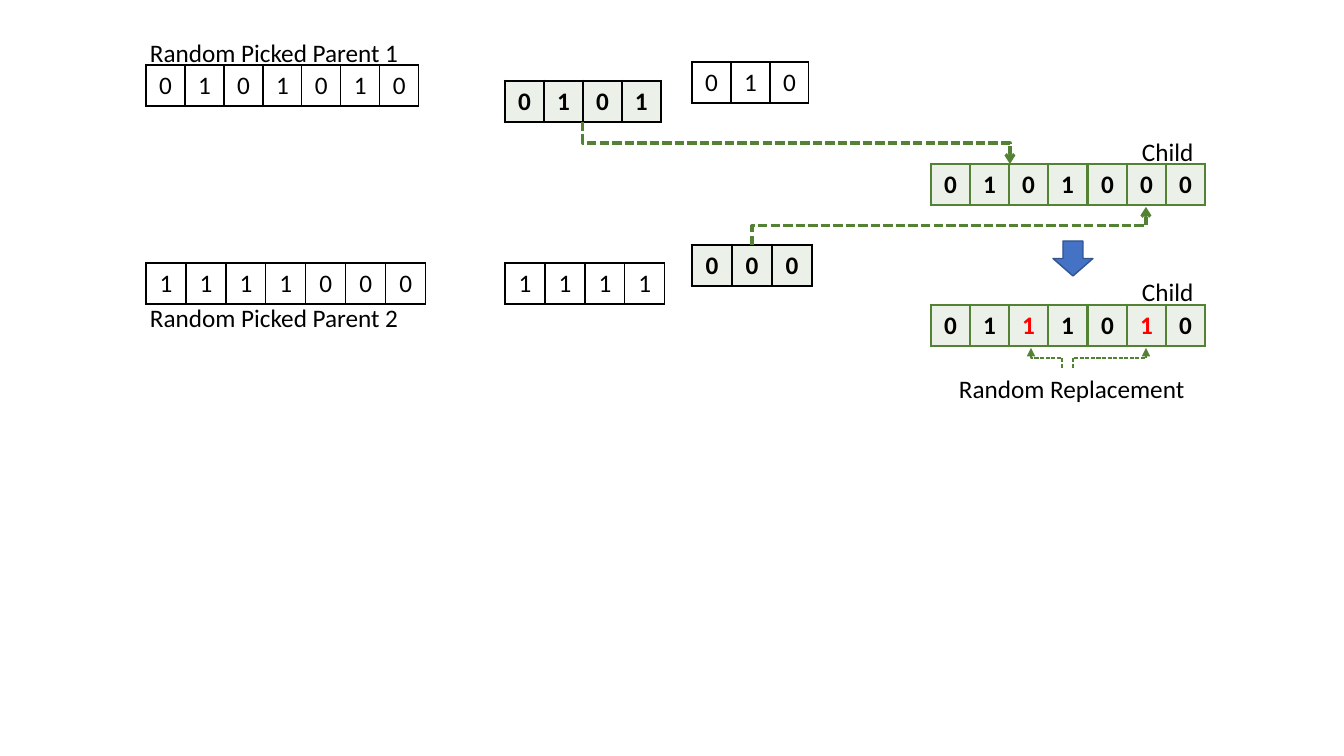
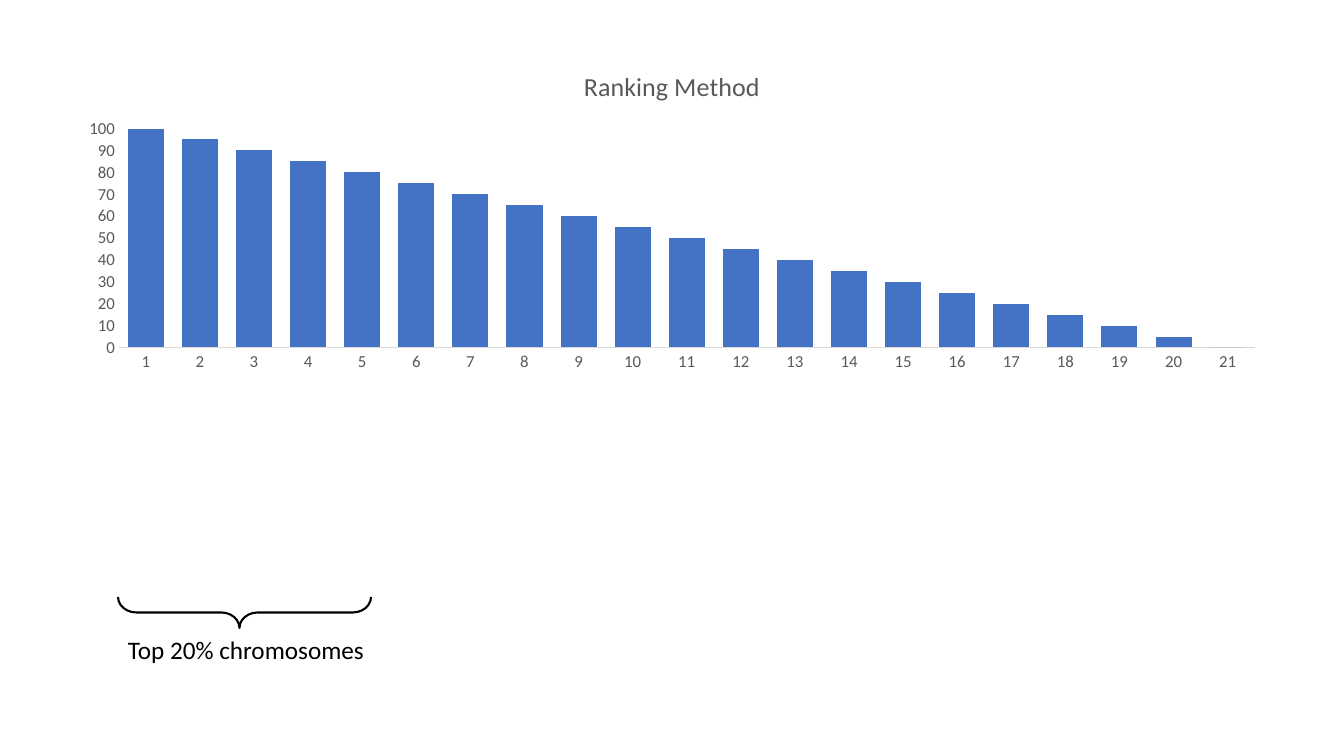
"""Build two slides on genetic algorithms: crossover with mutation, and ranking selection."""
from dataclasses import dataclass

from lxml.etree import SubElement
from pptx import Presentation
from pptx.chart.data import CategoryChartData
from pptx.dml.color import RGBColor
from pptx.enum.chart import XL_CHART_TYPE as ChartType, XL_TICK_MARK as TickMark
from pptx.enum.dml import MSO_LINE as LineDash
from pptx.enum.shapes import MSO_CONNECTOR as ConnectorType, MSO_SHAPE as ShapeType
from pptx.enum.text import MSO_AUTO_SIZE as AutoSize, PP_ALIGN as Align
from pptx.oxml.ns import qn
from pptx.slide import Slide
from pptx.table import _Cell as Cell
from pptx.text.text import Font, _Paragraph as Paragraph
from pptx.util import Emu, Pt

EMU_PER_PIXEL = 914400 / 100.8
FONT_NAME = "Calibri"
BODY_SIZE = 18
GENE_HEIGHT = 41
LABEL_HEIGHT = 40

BLACK = RGBColor(0x00, 0x00, 0x00)
RED = RGBColor(0xFF, 0x00, 0x00)
GREEN = RGBColor(0x54, 0x82, 0x35)
PALE_GREEN = RGBColor(0xEB, 0xF1, 0xE9)
BLUE = RGBColor(0x44, 0x72, 0xC4)
DARK_BLUE = RGBColor(0x32, 0x54, 0x91)
GREY = RGBColor(0x59, 0x59, 0x59)
LIGHT_GREY = RGBColor(0xD9, 0xD9, 0xD9)

CONNECTOR_TURNS = {
    (True, True): (270, ("flipH",)),
    (True, False): (90, ("flipH", "flipV")),
    (False, False): (270, ("flipV",)),
    (False, True): (90, ()),
}


@dataclass(frozen=True)
class Strip:
    """A row of genes; a selected one is bold and tinted."""
    genes: str
    left: int
    top: int
    gene_width: int
    selected: bool = False
    border: RGBColor = BLACK
    mutated: tuple[int, ...] = ()


@dataclass(frozen=True)
class Label:
    """A single line of text."""
    text: str
    left: int
    top: int
    width: int


@dataclass(frozen=True)
class Arrow:
    """A dashed elbow arrow that leaves and arrives vertically."""
    start: tuple[int, int]
    end: tuple[int, int]
    weight: float
    head: str


STRIPS = (
    Strip("0101010", 146, 65, 39),
    Strip("1111000", 146, 263, 40),
    Strip("0101", 505, 81, 39, selected=True),
    Strip("010", 692, 62, 39),
    Strip("1111", 505, 263, 40),
    Strip("000", 692, 245, 40, selected=True),
    Strip("0101", 931, 164, 39, selected=True, border=GREEN),
    Strip("000", 1088, 164, 39, selected=True, border=GREEN),
    Strip("0111", 931, 305, 39, selected=True, border=GREEN, mutated=(2,)),
    Strip("010", 1088, 305, 39, selected=True, border=GREEN, mutated=(1,)),
)
CROSSOVER_LABELS = (
    Label("Random Picked Parent 1", 140, 32, 271),
    Label("Random Picked Parent 2", 140, 297, 271),
    Label("Child", 1132, 131, 73),
    Label("Child", 1132, 271, 73),
    Label("Random Replacement", 949, 368, 249),
)
ARROWS = (
    Arrow((583, 122), (1010, 164), 2.25, "arrow"),
    Arrow((752, 245), (1146, 207), 2.25, "arrow"),
    Arrow((1073, 368), (1146, 348), 1, "triangle"),
    Arrow((1062, 368), (1031, 348), 1, "triangle"),
)


def px(pixels: float) -> Emu:
    """Turn pixels into EMU."""
    return Emu(round(pixels * EMU_PER_PIXEL))


def style_font(font: Font, size: float, color: RGBColor, bold: bool = False) -> None:
    """Set typeface, size, colour and weight."""
    font.name = FONT_NAME
    font.size = Pt(size)
    font.bold = bold
    font.color.rgb = color


def add_run(paragraph: Paragraph, text: str, color: RGBColor = BLACK,
            size: float = BODY_SIZE, bold: bool = False) -> None:
    """Append one styled run."""
    run = paragraph.add_run()
    run.text = text
    style_font(run.font, size, color, bold)


def add_borders(cell: Cell, color: RGBColor, weight: float) -> None:
    """Draw the four edges of a cell."""
    properties = cell._tc.get_or_add_tcPr()
    for side in ("a:lnL", "a:lnR", "a:lnT", "a:lnB"):
        edge = SubElement(properties, qn(side), w=str(Pt(weight)))
        fill = SubElement(edge, qn("a:solidFill"))
        SubElement(fill, qn("a:srgbClr"), val=str(color))


def add_strip(slide: Slide, strip: Strip) -> None:
    """Draw a gene strip as a one-row table."""
    count = len(strip.genes)
    table = slide.shapes.add_table(
        1, count, px(strip.left), px(strip.top),
        px(count * strip.gene_width), px(GENE_HEIGHT)).table
    table.first_row = False
    table.horz_banding = False
    for index, gene in enumerate(strip.genes):
        table.columns[index].width = px(strip.gene_width)
        cell = table.cell(0, index)
        add_borders(cell, strip.border, 2.25 if strip.selected else 1)
        if strip.selected:
            cell.fill.solid()
            cell.fill.fore_color.rgb = PALE_GREEN
        else:
            cell.fill.background()
        paragraph = cell.text_frame.paragraphs[0]
        paragraph.alignment = Align.CENTER
        add_run(paragraph, gene, RED if index in strip.mutated else BLACK, bold=strip.selected)


def add_label(slide: Slide, label: Label) -> None:
    """Draw a line of text that does not wrap."""
    text_box = slide.shapes.add_textbox(
        px(label.left), px(label.top), px(label.width), px(LABEL_HEIGHT))
    text_frame = text_box.text_frame
    text_frame.word_wrap = False
    text_frame.auto_size = AutoSize.SHAPE_TO_FIT_TEXT
    add_run(text_frame.paragraphs[0], label.text)


def add_arrow(slide: Slide, arrow: Arrow) -> None:
    """Draw an elbow arrow, turned so that its ends are vertical."""
    (start_x, start_y), (end_x, end_y) = arrow.start, arrow.end
    width, height = abs(end_y - start_y), abs(end_x - start_x)
    connector = slide.shapes.add_connector(ConnectorType.ELBOW, 0, 0, 0, 0)
    connector.left = px((start_x + end_x - width) / 2)
    connector.top = px((start_y + end_y - height) / 2)
    connector.width, connector.height = px(width), px(height)
    degrees, flips = CONNECTOR_TURNS[end_x > start_x, end_y > start_y]
    properties = connector._element.spPr
    frame = properties.find(qn("a:xfrm"))
    frame.set("rot", str(degrees * 60000))
    for flip in flips:
        frame.set(flip, "1")
    connector.line.color.rgb = GREEN
    connector.line.width = Pt(arrow.weight)
    connector.line.dash_style = LineDash.SQUARE_DOT
    SubElement(properties.find(qn("a:ln")), qn("a:tailEnd"), type=arrow.head)
    SubElement(properties, qn("a:effectLst"))


def add_next_step_arrow(slide: Slide) -> None:
    """Draw the block arrow between the two children."""
    shape = slide.shapes.add_shape(ShapeType.DOWN_ARROW, px(1053), px(241), px(40), px(35))
    shape.shadow.inherit = False
    shape.fill.solid()
    shape.fill.fore_color.rgb = BLUE
    shape.line.color.rgb = DARK_BLUE
    shape.line.width = Pt(1)


def add_brace(slide: Slide) -> None:
    """Draw the brace that opens upward."""
    brace = slide.shapes.add_shape(ShapeType.RIGHT_BRACE, px(229), px(486), px(31), px(253))
    brace.rotation = 90
    brace.adjustments[0] = 0.59
    brace.adjustments[1] = 0.52
    brace.shadow.inherit = False
    brace.fill.background()
    brace.line.color.rgb = BLACK
    brace.line.width = Pt(1.5)


def add_ranking_chart(slide: Slide) -> None:
    """Draw the falling column chart."""
    scores = range(100, -1, -5)
    chart_data = CategoryChartData()
    chart_data.categories = [str(rank) for rank in range(1, len(scores) + 1)]
    chart_data.add_series("Ranking Method", scores)
    chart = slide.shapes.add_chart(
        ChartType.COLUMN_CLUSTERED, px(65), px(52), px(1214), px(326), chart_data).chart
    style_font(chart.font, 10, BLACK)
    chart.has_legend = False
    chart.has_title = True
    add_run(chart.chart_title.text_frame.paragraphs[0], "Ranking Method", GREY, 18.6)
    chart.chart_title.include_in_layout = False

    plot = chart.plots[0]
    plot.vary_by_categories = False
    plot.gap_width = 50
    plot.overlap = -27
    series_fill = plot.series[0].format.fill
    series_fill.solid()
    series_fill.fore_color.rgb = BLUE

    for axis in (chart.category_axis, chart.value_axis):
        axis.has_major_gridlines = False
        axis.major_tick_mark = TickMark.NONE
        axis.minor_tick_mark = TickMark.NONE
        style_font(axis.tick_labels.font, 12, GREY)
    chart.category_axis.format.line.color.rgb = LIGHT_GREY
    chart.category_axis.format.line.width = Pt(0.75)
    chart.value_axis.format.line.fill.background()
    chart.value_axis.maximum_scale = 100


def build_crossover_slide(slide: Slide) -> None:
    """Show parents, crossover and mutation."""
    for strip in STRIPS:
        add_strip(slide, strip)
    for label in CROSSOVER_LABELS:
        add_label(slide, label)
    for arrow in ARROWS:
        add_arrow(slide, arrow)
    add_next_step_arrow(slide)


def build_ranking_slide(slide: Slide) -> None:
    """Show the ranking and its top group."""
    add_ranking_chart(slide)
    add_brace(slide)
    add_label(slide, Label("Top 20% chromosomes", 118, 629, 259))


def main() -> None:
    """Build and save the presentation."""
    presentation = Presentation()
    presentation.slide_width, presentation.slide_height = px(1344), px(756)
    blank_layout = presentation.slide_layouts[6]
    for build in (build_crossover_slide, build_ranking_slide):
        build(presentation.slides.add_slide(blank_layout))
    presentation.save("out.pptx")


main()
